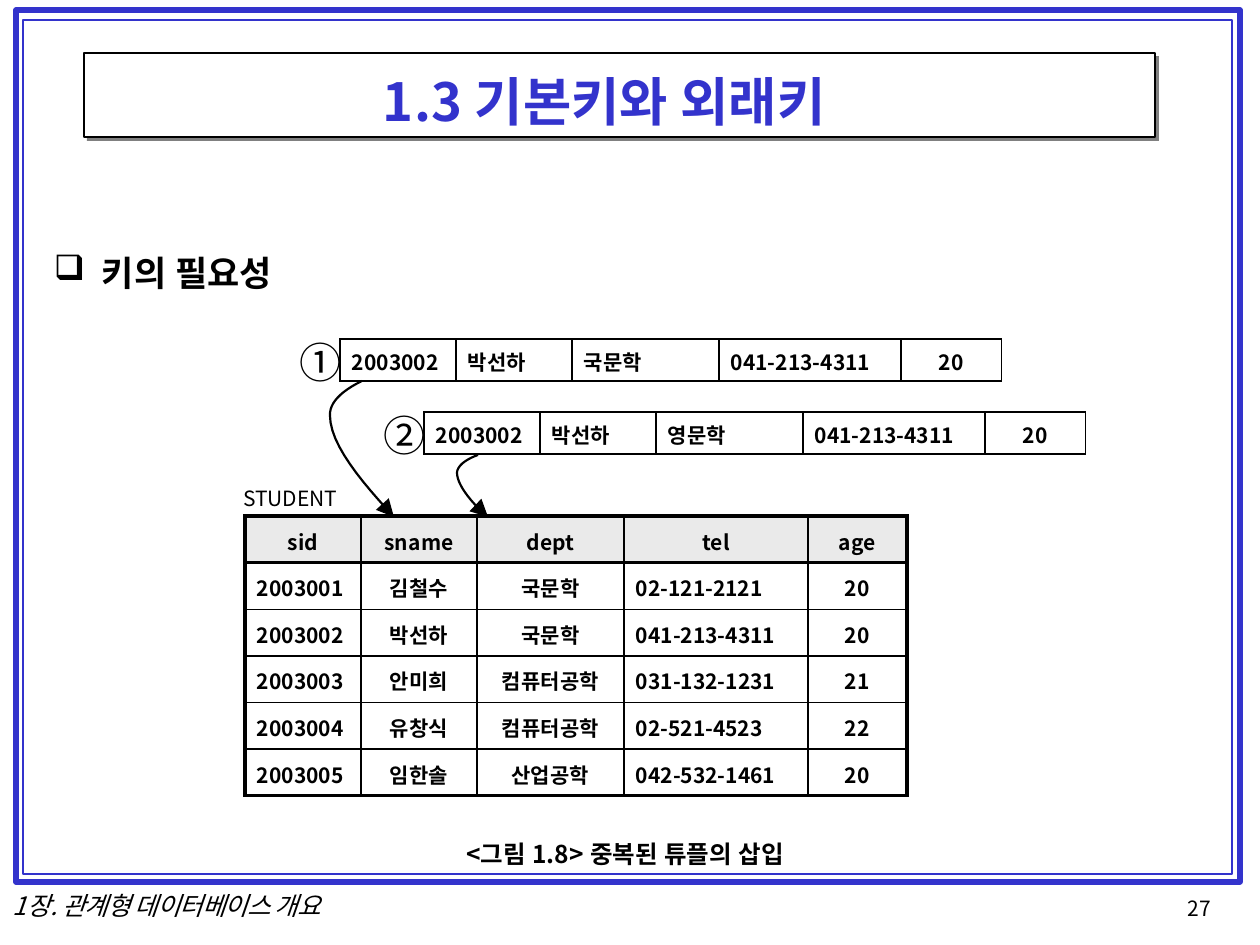
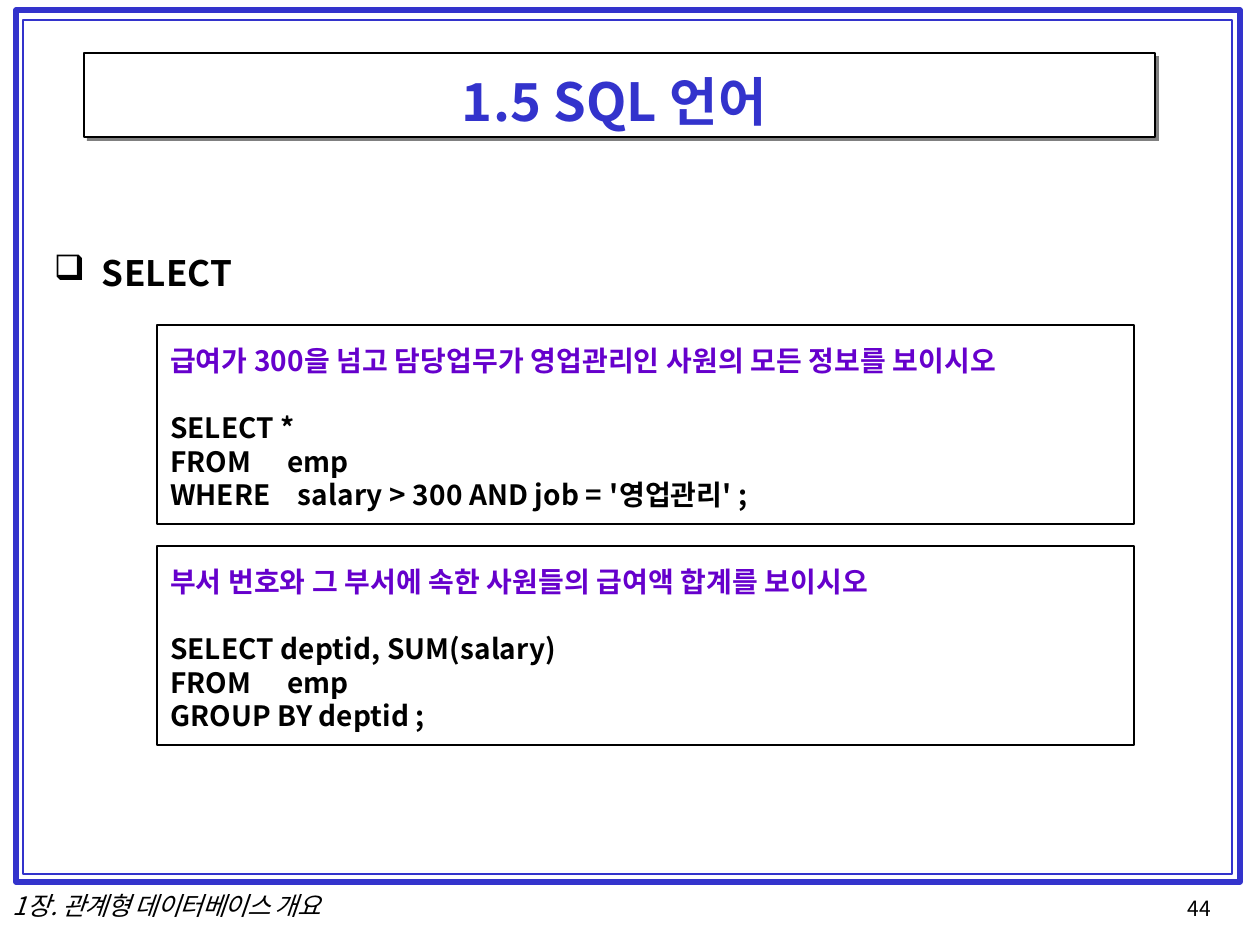
from lxml import etree
from pptx import Presentation
from pptx.dml.color import RGBColor
from pptx.enum import shapes, text
from pptx.oxml import ns
from pptx.util import Emu, Pt

KR, SC = "Noto Sans CJK KR", "Noto Sans CJK SC"
BLUE, PURPLE, BLACK, WHITE = "3333CC", "6600CC", "000000", "FFFFFF"
SHADOW, HEADER = "808080", "EAEAEA"
LEFT, CENTER = text.PP_ALIGN.LEFT, text.PP_ALIGN.CENTER
PX_PER_PT = 1.75
LEADING, ASCENT = 1.2, 0.9

STUDENTS = [
    ("sid", "sname", "dept", "tel", "age"),
    ("2003001", "김철수", "국문학", "02-121-2121", "20"),
    ("2003002", "박선하", "국문학", "041-213-4311", "20"),
    ("2003003", "안미희", "컴퓨터공학", "031-132-1231", "21"),
    ("2003004", "유창식", "컴퓨터공학", "02-521-4523", "22"),
    ("2003005", "임한솔", "산업공학", "042-532-1461", "20"),
]
QUERIES = [
    ("급여가 300을 넘고 담당업무가 영업관리인 사원의 모든 정보를 보이시오",
     [("SELECT *", 0), ("FROM\temp", 117),
      ("WHERE\tsalary > 300 AND job = '영업관리' ;", 128)]),
    ("부서 번호와 그 부서에 속한 사원들의 급여액 합계를 보이시오",
     [("SELECT deptid, SUM(salary)", 0), ("FROM\temp", 117),
      ("GROUP BY deptid ;", 0)]),
]


def px(n):
    return Emu(round(n * 914400 / 126))


def rgb(value):
    return RGBColor.from_string(value)


def add_xml(parent, tag, **attrs):
    return etree.SubElement(parent, ns.qn(tag), {k: str(v) for k, v in attrs.items()})


def style(p, size, color=BLACK, bold=False, italic=False, font=KR, spacing=0.1, align=LEFT):
    p.alignment = align
    p.line_spacing = Pt(size * LEADING)
    p.font.size, p.font.bold, p.font.italic = Pt(size), bold, italic
    p.font.color.rgb = rgb(color)
    p.font.name = font
    props = p._p.get_or_add_pPr().find(ns.qn("a:defRPr"))
    props.set("spc", str(round(spacing * 100)))
    add_xml(props, "a:ea", typeface=font)


def set_margins(target, left=0, top=0):
    target.margin_left, target.margin_top = px(left), px(top)
    target.margin_right = target.margin_bottom = 0


def label(slide, words, left, baseline, width, size, bullet=None, **look):
    line = size * PX_PER_PT
    box = slide.shapes.add_textbox(px(left), px(baseline - line * ASCENT),
                                   px(width), px(line * LEADING))
    tf = box.text_frame
    tf.word_wrap = True
    set_margins(tf)
    p = tf.paragraphs[0]
    p.text = words
    if bullet:
        pPr = p._p.get_or_add_pPr()
        pPr.set("marL", str(px(49)))
        pPr.set("indent", str(-px(48)))
        add_xml(pPr, "a:buChar", char=bullet)
    style(p, size, **look)


def rectangle(slide, box, fill=None, line=None, weight=0.75):
    sp = slide.shapes.add_shape(shapes.MSO_SHAPE.RECTANGLE, *map(px, box))
    sp.shadow.inherit = False
    if fill:
        sp.fill.solid()
        sp.fill.fore_color.rgb = rgb(fill)
    else:
        sp.fill.background()
    if line:
        sp.line.color.rgb = rgb(line)
        sp.line.width = Pt(weight)
    else:
        sp.line.fill.background()
    return sp


def base_slide(prs, title, title_left, heading, number):
    slide = prs.slides.add_slide(prs.slide_layouts[6])
    rectangle(slide, (16, 10, 1224, 872), line=BLUE, weight=3)
    rectangle(slide, (23, 20, 1209, 854), line=BLUE, weight=1)
    rectangle(slide, (87, 56, 1072, 85), fill=SHADOW)
    rectangle(slide, (84, 53, 1071, 84), fill=WHITE, line=BLACK)
    label(slide, title, title_left, 116, 1154 - title_left, 30, color=BLUE, bold=True)
    label(slide, heading, 53, 283, 400, 20, bullet="❑", bold=True)
    label(slide, "1장. 관계형 데이터베이스 개요", 13, 913, 400, 14.5, italic=True, spacing=-0.5)
    label(slide, str(number), 1188, 914, 40, 12, spacing=0)
    return slide


def set_borders(cell, widths):
    tcPr = cell._tc.get_or_add_tcPr()
    for i, (side, width) in enumerate(zip("LRTB", widths)):
        ln = etree.Element(ns.qn(f"a:ln{side}"), {"w": str(Pt(width))})
        add_xml(add_xml(ln, "a:solidFill"), "a:srgbClr", val=BLACK)
        tcPr.insert(i, ln)


def grid(slide, rows, left, top, height, columns, left_columns, inset, outer, header=None):
    table = slide.shapes.add_table(len(rows), len(columns), px(left), px(top),
                                   px(sum(columns)), px(height)).table
    table.first_row = table.horz_banding = False
    for column, width in zip(table.columns, columns):
        column.width = px(width)
    last_row, last_column = len(rows) - 1, len(columns) - 1
    for r, row in enumerate(rows):
        for c, words in enumerate(row):
            cell = table.cell(r, c)
            is_header = header and r == 0
            to_left = c in left_columns and not is_header
            set_margins(cell, 12 if to_left else 0, inset)
            if is_header:
                cell.fill.solid()
                cell.fill.fore_color.rgb = rgb(header)
            else:
                cell.fill.background()
            heavy = (c == 0, c == last_column,
                     r == 0 or (header and r == 1), r == last_row or is_header)
            set_borders(cell, [outer if edge else 1 for edge in heavy])
            p = cell.text_frame.paragraphs[0]
            p.text = words
            style(p, 12, bold=True, spacing=0 if to_left else 0.1,
                  align=LEFT if to_left else CENTER)


def new_tuple(slide, mark, dept, left, top):
    label(slide, mark, left - 40, top + 35, 60, 24, font=SC, spacing=0)
    grid(slide, [("2003002", "박선하", dept, "041-213-4311", "20")], left, top, 42,
         (116, 116, 147, 182, 101), range(4), 12, 0.75)


def bezier(a, b, c, d, steps=12):
    for i in range(1, steps + 1):
        t = i / steps
        s = 1 - t
        yield tuple(s**3 * w + 3 * s * s * t * x + 3 * s * t * t * y + t**3 * z
                    for w, x, y, z in zip(a, b, c, d))


def curved_arrow(slide, start, c1, c2, bend, c3, c4, end):
    points = [*bezier(start, c1, c2, bend), *bezier(bend, c3, c4, end)]
    builder = slide.shapes.build_freeform(px(start[0]), px(start[1]))
    builder.add_line_segments([(px(x), px(y)) for x, y in points], close=False)
    sp = builder.convert_to_shape()
    sp.shadow.inherit = False
    sp.fill.background()
    sp.line.color.rgb = rgb(BLACK)
    sp.line.width = Pt(1.25)
    add_xml(sp.line._get_or_add_ln(), "a:tailEnd", type="triangle", w="lg", len="lg")


def keys_slide(prs):
    slide = base_slide(prs, "1.3 기본키와 외래키", 383, "키의 필요성", 27)
    label(slide, "STUDENT", 243, 504, 120, 12, spacing=0)
    grid(slide, STUDENTS, 245, 516, 280, (116, 116, 147, 184, 99), (0, 3), 15, 2.25, HEADER)
    new_tuple(slide, "①", "국문학", 340, 339)
    new_tuple(slide, "②", "영문학", 424, 412)
    curved_arrow(slide, (362, 381), (340, 392), (330, 403), (330, 415),
                 (330, 445), (362, 482), (394, 517))
    curved_arrow(slide, (478, 455), (464, 460), (457, 467), (457, 473),
                 (457, 483), (468, 500), (488, 517))
    label(slide, "<그림 1.8> 중복된 튜플의 삽입", 466, 861, 400, 14, bold=True)


def query_box(slide, question, code, top):
    sp = rectangle(slide, (157, top, 977, 199), line=BLACK)
    tf = sp.text_frame
    tf.word_wrap = True
    tf.vertical_anchor = text.MSO_ANCHOR.TOP
    set_margins(tf, 13, 19)
    tf.text = question
    style(tf.paragraphs[0], 16, color=PURPLE, bold=True)
    for i, (words, tab) in enumerate(code):
        p = tf.add_paragraph()
        p.text = words
        if tab:
            tabs = add_xml(p._p.get_or_add_pPr(), "a:tabLst")
            add_xml(tabs, "a:tab", pos=px(tab), algn="l")
        if i == 0:
            p.space_before = Pt(19)
        style(p, 16, bold=True)


def sql_slide(prs):
    slide = base_slide(prs, "1.5 SQL 언어", 462, "SELECT", 44)
    for i, (question, code) in enumerate(QUERIES):
        query_box(slide, question, code, 325 + 221 * i)


def main():
    prs = Presentation()
    prs.slide_width, prs.slide_height = px(1260), px(945)
    keys_slide(prs)
    sql_slide(prs)
    prs.save("out.pptx")


if __name__ == "__main__":
    main()
